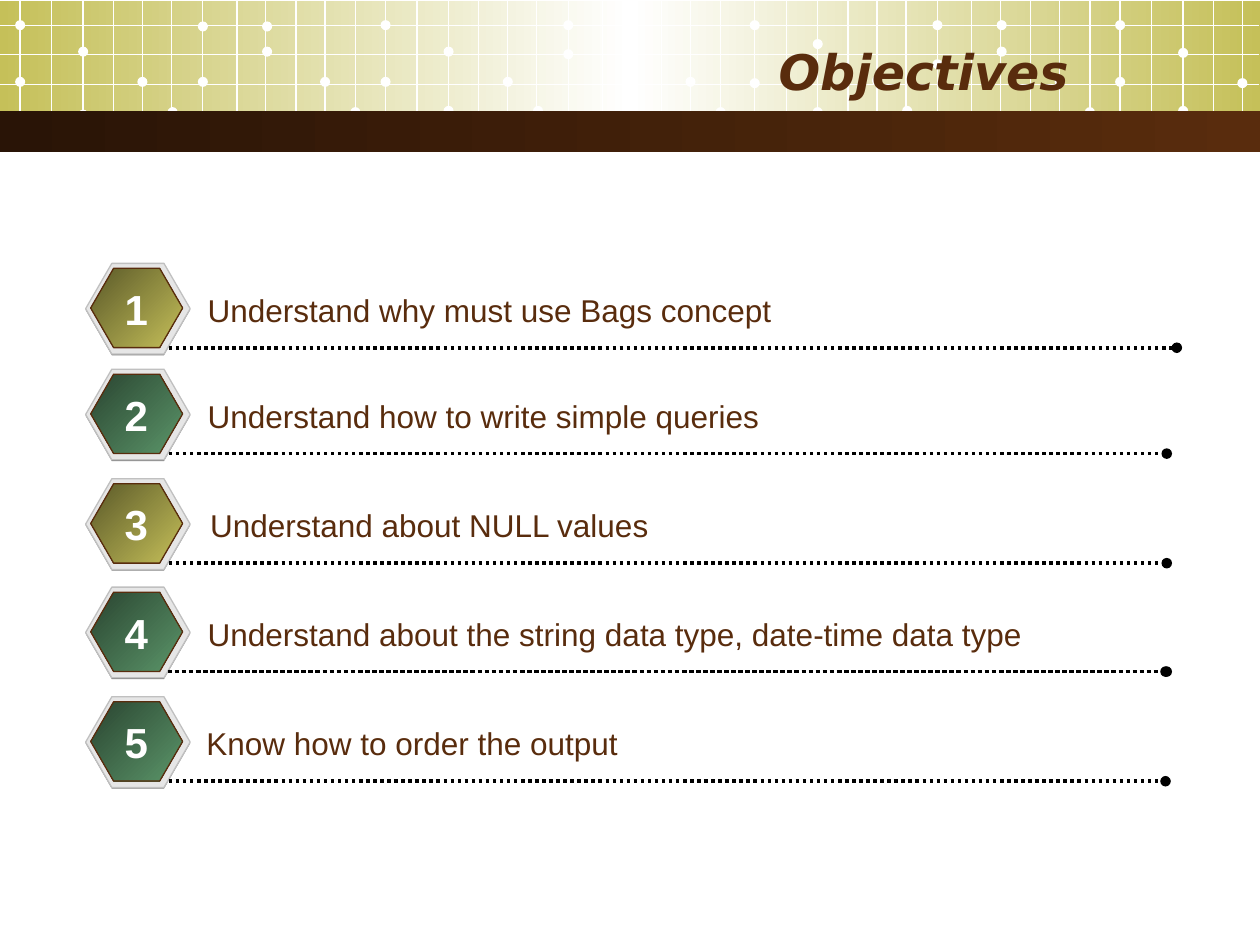
from copy import deepcopy

from pptx import Presentation
from pptx.dml.color import RGBColor
from pptx.enum.dml import MSO_LINE
from pptx.enum.shapes import MSO_CONNECTOR, MSO_SHAPE
from pptx.enum.text import MSO_ANCHOR, MSO_AUTO_SIZE, PP_ALIGN
from pptx.oxml.ns import qn
from pptx.util import Pt

PX = 9144  # 100 px to the inch
STRAIGHT = MSO_CONNECTOR.STRAIGHT
RECTANGLE, OVAL, HEXAGON = MSO_SHAPE.RECTANGLE, MSO_SHAPE.OVAL, MSO_SHAPE.HEXAGON
LEFT, CENTER, RIGHT = PP_ALIGN.LEFT, PP_ALIGN.CENTER, PP_ALIGN.RIGHT
DOTTED = MSO_LINE.ROUND_DOT

COLORS = {
    "white": "FFFFFF", "black": "000000", "brown": "592C0D", "dark brown": "291406",
    "olive": "C5C059", "dark olive": "5B5929", "green": "5B9569", "dark green": "2A4531",
    "shade": "808080", "rim": "E6E6E6", "rim line": "C0C0C0",
}

# The header grid repeats one block of columns, with a dot on some of them.
BLOCK_LEFTS = (16, 306, 599, 889)
COLUMN_OFFSETS = (0, 25, 50, 74, 97, 120, 145, 172, 195, 219, 242, 266)
GRID_ROWS = (20, 43, 67, 89)
DOT_OFFSETS = (0, 0, 50, 50, 97, 121, 145, 145, 196, 196, 242, 266)
DOT_TOPS = (
    (61, 16, 37, 87, 61, 85, 61, 17, 37, 17, 61, 85),
    (61, 16, 37, 84, 61, 84, 39, 16, 38, 16, 61, 85),
    (62, 16, 31, 85, 60, 84, 47, 16, 37, 16, 61, 85),
    (61, 16, 38, 84, 62),
)

# Wording, row top, text left, text width, rule end, badge colour
OBJECTIVES = (
    ("Understand why must use Bags concept", 209, 155, 531, 934, "olive"),
    ("Understand how to write simple queries", 293, 155, 786, 926, "green"),
    ("Understand about NULL values", 380, 157, 786, 926, "olive"),
    ("Understand about the string data type, date-time data type",
     466, 155, 778, 926, "green"),
    ("Know how to order the output", 553, 154, 778, 925, "green"),
)


def rgb(name):
    return RGBColor.from_string(COLORS[name])


def scaled(*lengths):
    return [length * PX for length in lengths]


def fill_shape(shape, names, angle):
    """Fill with one colour, or with evenly spaced gradient stops."""
    if len(names) == 1:
        shape.fill.solid()
        shape.fill.fore_color.rgb = rgb(names[0])
        return
    shape.fill.gradient()
    shape.fill.gradient_angle = angle
    stop_list = shape._element.spPr.find(".//" + qn("a:gsLst"))
    while len(stop_list) < len(names):
        stop_list.append(deepcopy(stop_list[0]))
    for index, (stop, name) in enumerate(zip(shape.fill.gradient_stops, names)):
        stop.position = index / (len(names) - 1)
        stop.color.rgb = rgb(name)


def add_filled_shape(shapes, kind, box, names, outline=None, angle=0):
    shape = shapes.add_shape(kind, *scaled(*box))
    shape.shadow.inherit = False
    fill_shape(shape, names, angle)
    if outline:
        shape.line.color.rgb = rgb(outline)
        shape.line.width = Pt(0.75)
    else:
        shape.line.fill.background()
    if kind == HEXAGON:
        shape.adjustments[0] = 0.289


def add_line(shapes, ends, color, width):
    connector = shapes.add_connector(STRAIGHT, *scaled(*ends))
    connector.line.color.rgb = rgb(color)
    connector.line.width = Pt(width)
    properties = connector._element.spPr
    properties.append(properties.makeelement(qn("a:effectLst"), {}))
    return connector


def add_rule(shapes, left, right, top):
    """Add a dotted line that ends in a round dot."""
    connector = add_line(shapes, (left, top, right, top), "black", 2)
    connector.line.dash_style = DOTTED
    line = connector.line._get_or_add_ln()
    line.append(line.makeelement(qn("a:tailEnd"), {"type": "oval"}))


def set_text(text_frame, text, size, color, alignment, font="Arial", bold=False, italic=False):
    text_frame.text = text
    paragraph = text_frame.paragraphs[0]
    paragraph.alignment = alignment
    run_font = paragraph.runs[0].font
    run_font.name = font
    run_font.size = Pt(size)
    run_font.bold = bold
    run_font.italic = italic
    run_font.color.rgb = rgb(color)


def add_label(shapes, box, text, size, color, alignment=LEFT, bold=False, wrap=True):
    text_frame = shapes.add_textbox(*scaled(*box)).text_frame
    text_frame.word_wrap = wrap
    text_frame.auto_size = MSO_AUTO_SIZE.SHAPE_TO_FIT_TEXT
    set_text(text_frame, text, size, color, alignment, bold=bold)


def add_header(slide):
    add_filled_shape(slide.shapes, RECTANGLE, (0, 1, 1000, 102), ("olive", "white", "olive"))
    grid = slide.shapes.add_group_shape().shapes
    for block_left, tops in zip(BLOCK_LEFTS, DOT_TOPS):
        for offset in COLUMN_OFFSETS:
            x = block_left + offset
            if x < 1000:
                add_line(grid, (x, 0, x, 110), "white", 0.75)
        for offset, top in zip(DOT_OFFSETS, tops):
            add_filled_shape(grid, OVAL, (block_left + offset - 4, top, 8, 8), ("white",))
    for y in GRID_ROWS:
        add_line(grid, (0, y, 999, y), "white", 0.75)
    add_filled_shape(slide.shapes, RECTANGLE, (0, 88, 1000, 33), ("dark brown", "brown"))


def place_title(slide, text):
    title = slide.shapes.title
    title.left, title.top, title.width, title.height = scaled(50, 25, 808, 62)
    title.text_frame.vertical_anchor = MSO_ANCHOR.MIDDLE
    set_text(title.text_frame, text, 28, "brown", RIGHT, "DejaVu Sans", bold=True, italic=True)
    slide.shapes._spTree.append(title._element)  # in front of the header


def add_badge(shapes, top, color):
    badge = shapes.add_group_shape().shapes
    add_filled_shape(badge, HEXAGON, (68, top + 1, 83, 72), ("shade",))
    add_filled_shape(badge, HEXAGON, (68, top, 83, 72), ("rim",), "rim line")
    add_filled_shape(badge, HEXAGON, (72, top + 4, 73, 63), ("dark " + color, color), "brown", 315)


def add_objective(shapes, number, text, top, left, width, rule_end, color):
    add_badge(shapes, top, color)
    add_rule(shapes, 134, rule_end, top + 67)
    add_label(shapes, (left, top + 17, width, 40), text, 18, "brown")
    add_label(shapes, (89, top + 11, 38, 50), str(number), 24, "white", CENTER, True, False)


def main():
    presentation = Presentation()
    presentation.slide_width, presentation.slide_height = scaled(1000, 750)
    slide = presentation.slides.add_slide(presentation.slide_layouts[5])
    add_header(slide)
    place_title(slide, "Objectives")
    for number, objective in enumerate(OBJECTIVES, 1):
        add_objective(slide.shapes, number, *objective)
    add_rule(slide.shapes, 133, 925, 533)  # doubles the fourth rule, making it denser
    presentation.save("out.pptx")


if __name__ == "__main__":
    main()
